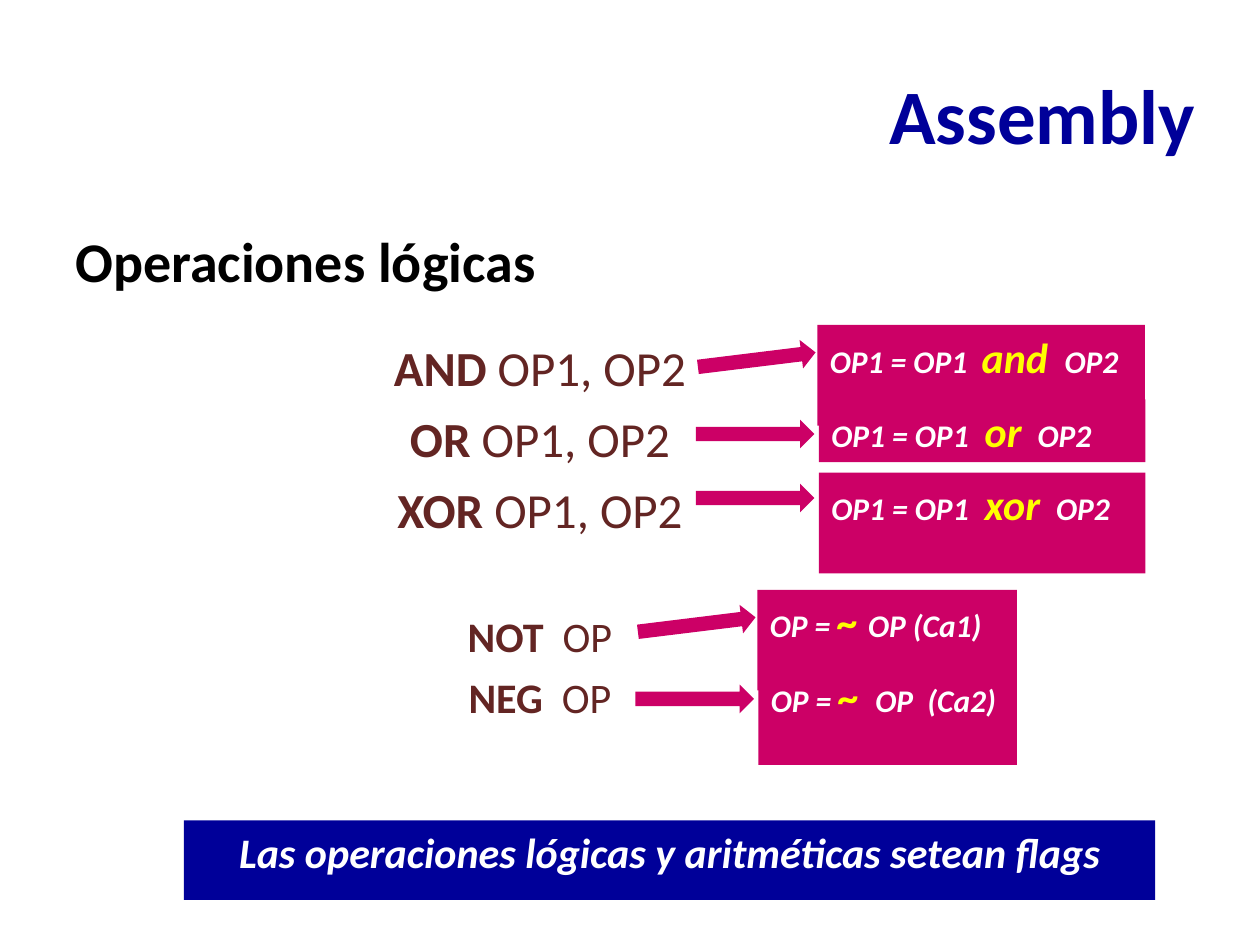
from pptx import Presentation
from pptx import util as u
from pptx.dml.color import RGBColor
from pptx.enum import shapes, text

COLORS = {
    "navy": "000099",
    "pink": "CC0066",
    "brown": "632523",
    "yellow": "FFFF00",
    "white": "FFFFFF",
    "black": "000000",
}
FONT = "Calibri"

# (mnemonic, operands, size, space before)
INSTRUCTIONS = [
    ("AND", " OP1, OP2", 28, 24.6),
    ("OR", " OP1, OP2", 28, 7),
    ("XOR", " OP1, OP2", 28, 7),
    ("NOT", "  OP", 24, 41.3),
    ("NEG", "  OP", 24, 6),
]

# (before, operator, after, gap size, box in cm, arrow drop in cm, arrow rotation)
RESULTS = [
    ("OP1 = OP1  ", "and ", " OP2", 0, (16.48, 6.55, 6.6, 2.03), 0.41, -7),
    ("OP1 = OP1", "or", "OP2", 20, (16.51, 8.05, 6.58, 1.27), 0.41, 0),
    ("OP1 = OP1", "xor", "OP2", 20, (16.51, 9.53, 6.58, 2.03), 0.22, 0),
    ("OP = ", "~ ", "OP (Ca1)", 0, (15.27, 11.89, 5.23, 2.03), 0.41, -7),
    ("OP = ", "~", "OP  (Ca2)", 20, (15.29, 13.39, 5.21, 2.03), 0.41, 0),
]


def rgb(name):
    return RGBColor.from_string(COLORS[name])


def add_run(paragraph, words, size=18, color="white", bold=True, italic=False):
    run = paragraph.add_run()
    run.text = words
    run.font.name = FONT
    run.font.size = u.Pt(size)
    run.font.bold = bold
    run.font.italic = italic
    run.font.color.rgb = rgb(color)


def add_filled(slide, kind, box, color):
    filled = slide.shapes.add_shape(kind, *[u.Cm(v) for v in box])
    filled.shadow.inherit = False
    filled.fill.solid()
    filled.fill.fore_color.rgb = rgb(color)
    filled.line.fill.background()
    return filled


def add_panel(slide, box, color, align):
    """Filled rectangle; returns its first paragraph."""
    frame = add_filled(slide, shapes.MSO_SHAPE.RECTANGLE, box, color).text_frame
    frame.word_wrap = True
    frame.vertical_anchor = text.MSO_ANCHOR.TOP
    frame.paragraphs[0].alignment = align
    return frame.paragraphs[0]


def add_title(slide):
    title = slide.shapes.title
    title.left, title.top, title.width, title.height = (
        u.Cm(v) for v in (1.5, 0.71, 22.86, 3.18))
    title.text_frame.vertical_anchor = text.MSO_ANCHOR.MIDDLE
    heading = title.text_frame.paragraphs[0]
    heading.alignment = text.PP_ALIGN.RIGHT
    add_run(heading, "Assembly", size=44, color="navy")


def add_instructions(slide):
    body = slide.shapes.add_textbox(u.Cm(1.27), u.Cm(4.45), u.Cm(19.23), u.Cm(12.57))
    frame = body.text_frame
    frame.word_wrap = True
    add_run(frame.paragraphs[0], "Operaciones lógicas", size=32, color="black")
    for mnemonic, operands, size, space in INSTRUCTIONS:
        line = frame.add_paragraph()
        line.alignment = text.PP_ALIGN.CENTER
        line.space_before = u.Pt(space)
        add_run(line, mnemonic, size=size, color="brown")
        add_run(line, operands, size=size, color="brown", bold=False)


def add_result(slide, before, operator, after, gap, box, drop, rotation):
    formula = add_panel(slide, box, "pink", text.PP_ALIGN.LEFT)
    add_run(formula, before, italic=True)
    if gap and operator != "~":
        add_run(formula, "  ", size=gap, italic=True)
    add_run(formula, operator, size=24, color="yellow", italic=True)
    if gap:
        add_run(formula, "  ", size=gap, italic=True)
    add_run(formula, after, italic=True)

    # Arrow from the instruction to its result
    reach = 2.42 if rotation else 2.48
    arrow = add_filled(slide, shapes.MSO_SHAPE.RIGHT_ARROW,
                       (box[0] - reach, box[1] + drop, 2.39, 0.58), "pink")
    arrow.rotation = rotation


def main():
    deck = Presentation()
    deck.slide_width, deck.slide_height = u.Cm(25.4), u.Cm(19.05)
    slide = deck.slides.add_slide(deck.slide_layouts[5])

    add_title(slide)
    add_instructions(slide)

    # Closing remark
    remark = add_panel(slide, (3.71, 16.54, 19.58, 1.6), "navy", text.PP_ALIGN.CENTER)
    add_run(remark, "Las operaciones lógicas y aritméticas setean flags",
            size=24, italic=True)

    # Result of each instruction
    for result in RESULTS:
        add_result(slide, *result)

    deck.save("out.pptx")


if __name__ == "__main__":
    main()
